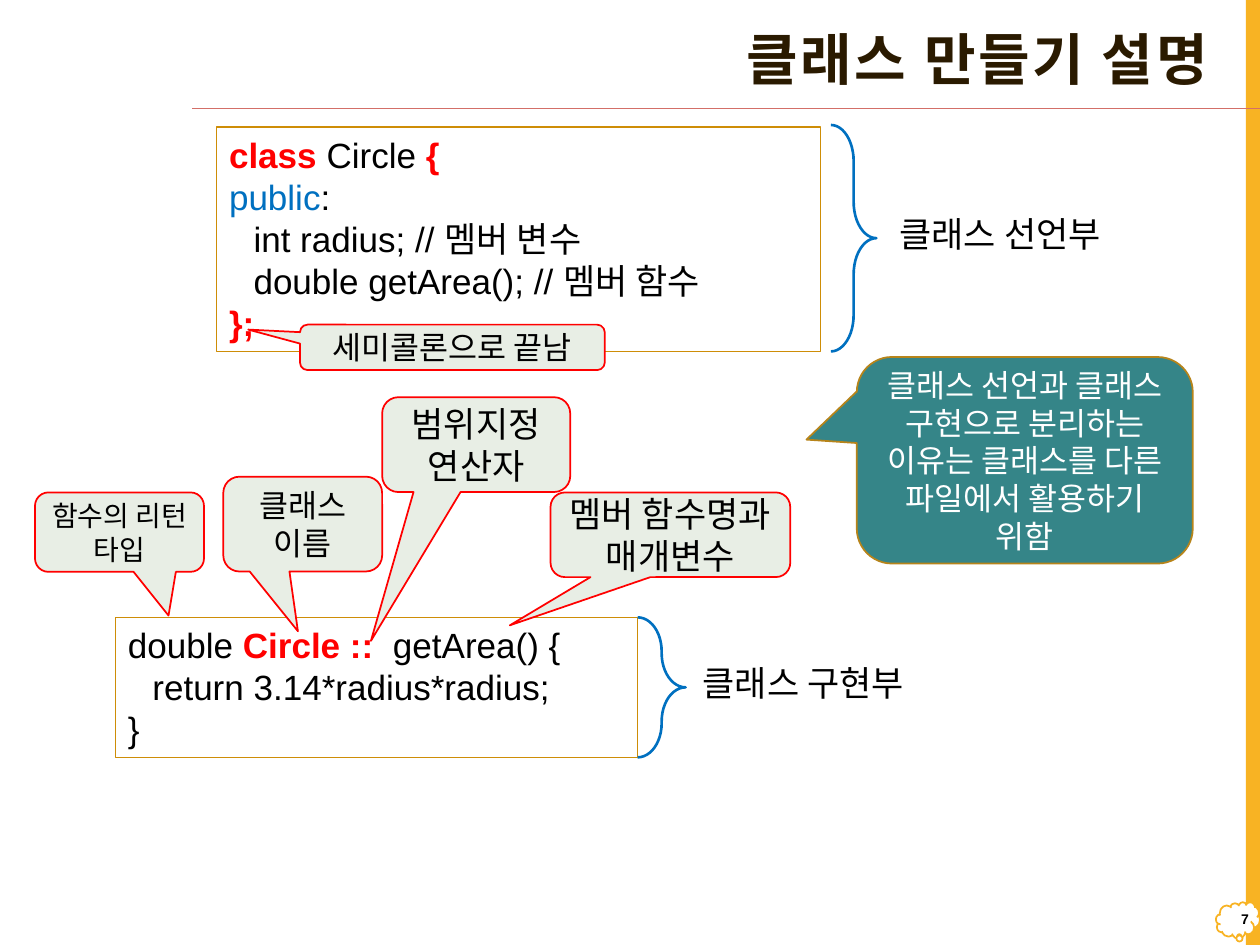
from lxml import etree
from pptx import Presentation
from pptx.dml.color import RGBColor
from pptx.enum import shapes, text
from pptx.oxml.ns import qn
from pptx.util import Pt

BLACK = RGBColor(0x00, 0x00, 0x00)
WHITE = RGBColor(0xFF, 0xFF, 0xFF)
RED = RGBColor(0xFF, 0x00, 0x00)
BLUE = RGBColor(0x00, 0x70, 0xC0)
AMBER = RGBColor(0xF8, 0xB3, 0x23)
OCHRE = RGBColor(0xCE, 0x8D, 0x07)
BRONZE = RGBColor(0xB7, 0x84, 0x1A)
ROSE = RGBColor(0xD3, 0x6F, 0x68)
BROWN = RGBColor(0x2A, 0x1A, 0x00)
PALE = RGBColor(0xE8, 0xEE, 0xE5)
TEAL = RGBColor(0x35, 0x85, 0x88)

KIND = shapes.MSO_SHAPE
ALIGN = text.PP_ALIGN
MIDDLE = text.MSO_ANCHOR.MIDDLE
TOP = text.MSO_ANCHOR.TOP

prs = Presentation()
prs.slide_width, prs.slide_height = Pt(720), Pt(540)
s = prs.slides.add_slide(prs.slide_layouts[5])


def add_shape(kind, box, fill=None, line=None, width=1, adj=()):
    sp = s.shapes.add_shape(kind, *map(Pt, box))
    sp.shadow.inherit = False
    if fill is None:
        sp.fill.background()
    else:
        sp.fill.solid()
        sp.fill.fore_color.rgb = fill
    if line is None:
        sp.line.fill.background()
    else:
        sp.line.color.rgb = line
        sp.line.width = Pt(width)
    for i, value in enumerate(adj):
        sp.adjustments[i] = value
    return sp


def write(sp, lines, size, align=ALIGN.LEFT, anchor=TOP, font="Arial"):
    """Fill a shape with lines, each a list of (words, colour, bold) runs."""
    tf = sp.text_frame
    tf.word_wrap = True
    tf.vertical_anchor = anchor
    for i, runs in enumerate(lines):
        p = tf.add_paragraph() if i else tf.paragraphs[0]
        p.alignment = align
        for words, colour, bold in runs:
            r = p.add_run()
            r.text = words
            r.font.name, r.font.size, r.font.bold = font, Pt(size), bold
            r.font.color.rgb = colour


# Side band, page number and title
add_shape(KIND.RECTANGLE, (712, 0, 8, 540), AMBER)
add_shape(KIND.CLOUD_CALLOUT, (694.8, 515.5, 25.2, 20.9), WHITE, AMBER,
          adj=(0.03, 0.43))

rule = s.shapes.add_connector(shapes.MSO_CONNECTOR.STRAIGHT,
                              Pt(720), Pt(62), Pt(110), Pt(62))
rule.line.color.rgb = ROSE
rule.line.width = Pt(1)
etree.SubElement(rule._element.spPr, qn("a:effectLst"))

title = s.shapes.title
title.left, title.top, title.width, title.height = map(Pt, (95, 9.4, 602.6, 52.6))
write(title, [[("클래스 만들기 설명", BROWN, True)]], 32, ALIGN.RIGHT, MIDDLE,
      "Roboto Condensed")
p = title.text_frame.paragraphs[0]
p.line_spacing = 0.9
p.runs[0].font._element.set("spc", "150")

page = s.shapes.add_textbox(Pt(695.5), Pt(512.6), Pt(25.2), Pt(25.2))
write(page, [[("7", BLACK, True)]], 8, ALIGN.RIGHT, MIDDLE)

# Code boxes
implementation = [
    [("double ", BLACK, False), ("Circle ::  ", RED, True),
     ("getArea() {", BLACK, False)],
    [("\treturn 3.14*radius*radius;", BLACK, False)],
    [("}", BLACK, False)],
]
declaration = [
    [("class ", RED, True), ("Circle ", BLACK, False), ("{", RED, True)],
    [("public", BLUE, False), (":", BLACK, False)],
    [("\tint radius; // 멤버 변수", BLACK, False)],
    [("\tdouble getArea(); // 멤버 함수", BLACK, False)],
    [("};", RED, True)],
]
for box, code in [((66, 352.8, 298.4, 80), implementation),
                  ((123.8, 72.5, 345, 128.2), declaration)]:
    sp = add_shape(KIND.RECTANGLE, box, line=OCHRE, width=0.75)
    write(sp, code, 20)
    for p in sp.text_frame.paragraphs:
        tabs = etree.SubElement(p._p.get_or_add_pPr(), qn("a:tabLst"))
        etree.SubElement(tabs, qn("a:tab"), pos=str(Pt(14)), algn="l")

# Callouts: box, tail tip, lines, text size, fill, line, text colour
red_style = (PALE, RED, BLACK)
callouts = [
    ((20, 281.4, 96.6, 45.4), (0.29, 1.05), ["함수의 리턴 타입"], 16, red_style),
    ((127.6, 272.4, 90.8, 54.2), (-0.03, 1.13), ["클래스", "이름"], 18, red_style),
    ((218.4, 227, 107.5, 54.2), (-0.56, 2.07), ["범위지정연산자"], 20, red_style),
    ((314.6, 281.4, 137, 48.4), (-0.67, 1.07), ["멤버 함수명과 매개변수"], 20,
     red_style),
    ((489.6, 204, 192, 118), (-0.65, -0.1),
     ["클래스 선언과 클래스 구현으로 분리하는 이유는 클래스를 다른 파일에서 활용하기 위함"],
     18, (TEAL, BRONZE, WHITE)),
    ((171.4, 185.5, 174.2, 26), (-0.67, -0.39), ["세미콜론으로 끝남"], 18, red_style),
]
for box, tip, lines, size, (fill, line, colour) in callouts:
    sp = add_shape(KIND.ROUNDED_RECTANGULAR_CALLOUT, box, fill, line,
                   adj=(*tip, 0.17))
    write(sp, [[(words, colour, False)] for words in lines], size,
          ALIGN.CENTER, MIDDLE)

# Braces and their labels
for brace, curve, label, words in [
        ((474.8, 71.4, 26, 129.4), 0.8, (506.9, 118, 159, 31.5), "클래스 선언부"),
        ((364.4, 352.8, 27.4, 80), 0.71, (394.4, 374.6, 158.4, 31.5), "클래스 구현부")]:
    add_shape(KIND.RIGHT_BRACE, brace, line=BLUE, width=1.5, adj=(curve, 0.5))
    write(s.shapes.add_textbox(*map(Pt, label)), [[(words, BLACK, False)]], 20)

prs.save("out.pptx")
